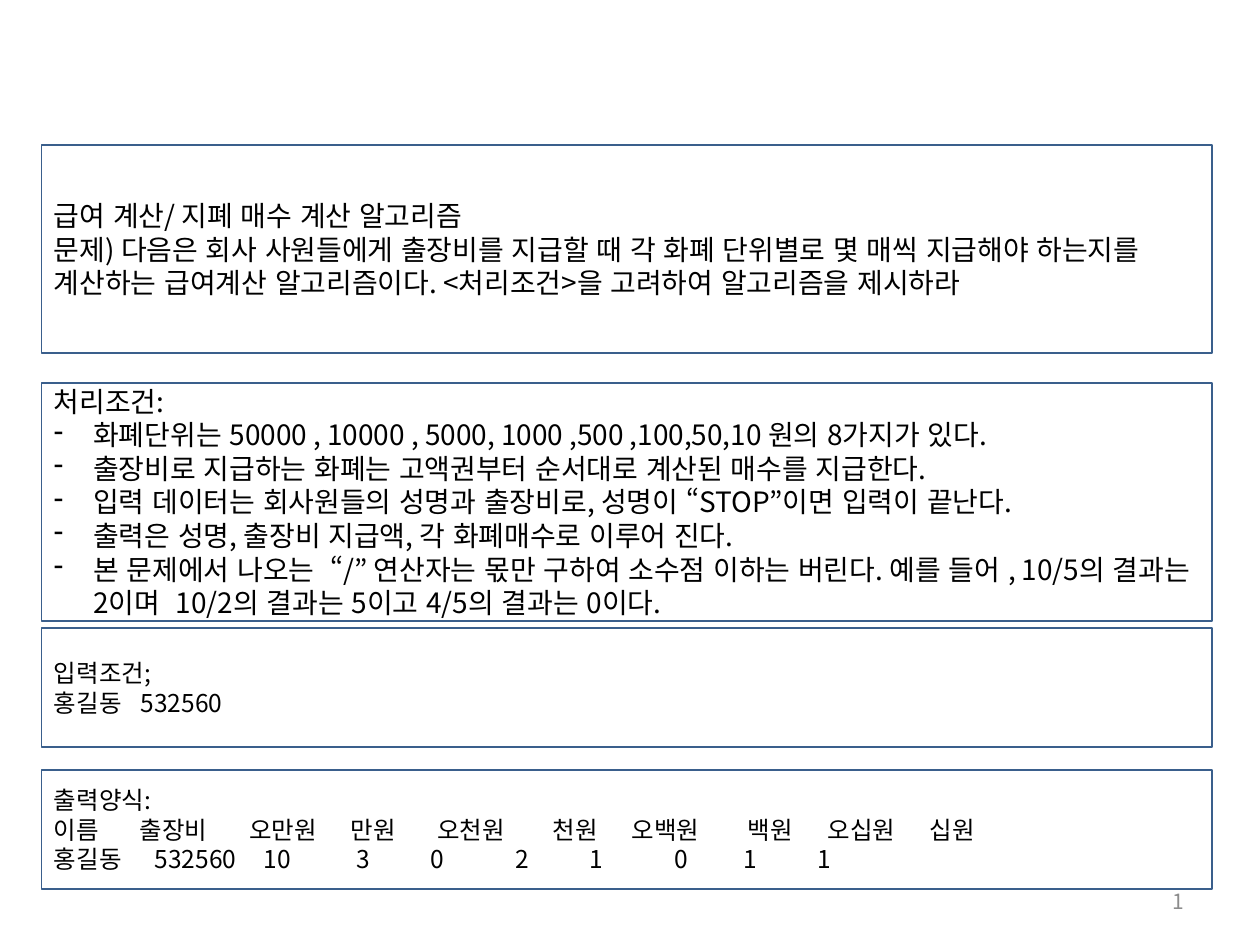
from dataclasses import dataclass

from lxml import etree
from pptx import Presentation
from pptx.dml.color import RGBColor
from pptx.enum.lang import MSO_LANGUAGE_ID
from pptx.enum.shapes import MSO_SHAPE
from pptx.enum.text import MSO_ANCHOR, PP_ALIGN
from pptx.oxml.ns import qn
from pptx.util import Pt

FONT = "Noto Sans CJK KR"
INDENT = 22.5
PANEL_LEFT, PANEL_WIDTH = 23.75, 669


@dataclass(frozen=True)
class Line:
    text: str
    bullet: bool = False
    tabs: tuple[float, ...] = ()


@dataclass(frozen=True)
class Panel:
    top: float
    height: float
    size: float
    lines: tuple[Line, ...]


PANELS = (
    Panel(82.75, 119, 16, (
        Line("급여 계산/ 지폐 매수 계산 알고리즘"),
        Line("문제) 다음은 회사 사원들에게 출장비를 지급할 때 각 화폐 단위별로 몇 매씩 지급해야 하는지를 "
             "계산하는 급여계산 알고리즘이다. <처리조건>을 고려하여 알고리즘을 제시하라"),
    )),
    Panel(218.75, 136, 16, (
        Line("처리조건:"),
        Line("화폐단위는 50000 , 10000 , 5000, 1000 ,500 ,100,50,10 원의 8가지가 있다.", True),
        Line("출장비로 지급하는 화폐는 고액권부터 순서대로 계산된 매수를 지급한다.", True),
        Line("입력 데이터는 회사원들의 성명과 출장비로, 성명이 “STOP”이면 입력이 끝난다.", True),
        Line("출력은 성명, 출장비 지급액, 각 화폐매수로 이루어 진다.", True),
        Line("본 문제에서 나오는  “/” 연산자는 몫만 구하여 소수점 이하는 버린다. 예를 들어 , "
             "10/5의 결과는 2이며  10/2의 결과는 5이고 4/5의 결과는 0이다.", True),
    )),
    Panel(359, 68, 14, (
        Line("입력조건;"),
        Line("홍길동\t532560", tabs=(49.5,)),
    )),
    Panel(440, 68, 14, (
        Line("출력양식:"),
        Line("이름\t출장비\t오만원\t만원\t오천원\t천원\t오백원\t백원\t오십원\t십원",
             tabs=(49, 111.5, 169.5, 219, 285, 330, 396.5, 442, 500.5)),
        Line("홍길동\t532560\t10\t3\t0\t2\t1\t0\t1\t1",
             tabs=(57.5, 120, 173, 215, 263.5, 306, 354.5, 394, 436.5)),
    )),
)


def rgb(value: str) -> RGBColor:
    return RGBColor.from_string(value)


def write_line(paragraph, line: Line, size: float, color: str, align=PP_ALIGN.LEFT) -> None:
    paragraph.alignment = align
    properties = paragraph._p.get_or_add_pPr()
    if line.bullet:
        properties.set("marL", str(Pt(INDENT)))
        properties.set("indent", str(-Pt(INDENT)))
        etree.SubElement(properties, qn("a:buFontTx"))
        etree.SubElement(properties, qn("a:buChar"), char="-")
    if line.tabs:
        stops = etree.SubElement(properties, qn("a:tabLst"))
        for position in line.tabs:
            etree.SubElement(stops, qn("a:tab"), pos=str(Pt(position)), algn="l")
    run = paragraph.add_run()
    run.text = line.text
    font = run.font
    font.size, font.name = Pt(size), FONT
    font.language_id = MSO_LANGUAGE_ID.KOREAN
    font.color.rgb = rgb(color)
    etree.SubElement(run._r.get_or_add_rPr(), qn("a:ea"), typeface=FONT)


def draw_panel(slide, panel: Panel) -> None:
    shape = slide.shapes.add_shape(MSO_SHAPE.RECTANGLE, Pt(PANEL_LEFT), Pt(panel.top),
                                   Pt(PANEL_WIDTH), Pt(panel.height))
    shape.shadow.inherit = False
    shape.fill.background()
    shape.line.color.rgb = rgb("3A5F8C")
    shape.line.width = Pt(1)
    frame = shape.text_frame
    frame.word_wrap = True
    frame.vertical_anchor = MSO_ANCHOR.MIDDLE
    for index, line in enumerate(panel.lines):
        paragraph = frame.add_paragraph() if index else frame.paragraphs[0]
        write_line(paragraph, line, panel.size, "000000")


def draw_page_number(slide) -> None:
    frame = slide.shapes.add_textbox(Pt(516), Pt(500.5), Pt(168), Pt(28.75)).text_frame
    frame.word_wrap = True
    frame.vertical_anchor = MSO_ANCHOR.MIDDLE
    write_line(frame.paragraphs[0], Line("1"), 12, "8C8C8C", PP_ALIGN.RIGHT)


def main() -> None:
    """Build the allowance problem slide."""
    deck = Presentation()
    deck.slide_width, deck.slide_height = Pt(720), Pt(540)
    slide = deck.slides.add_slide(deck.slide_layouts[6])
    draw_page_number(slide)
    for panel in PANELS:
        draw_panel(slide, panel)
    deck.save("out.pptx")


main()
